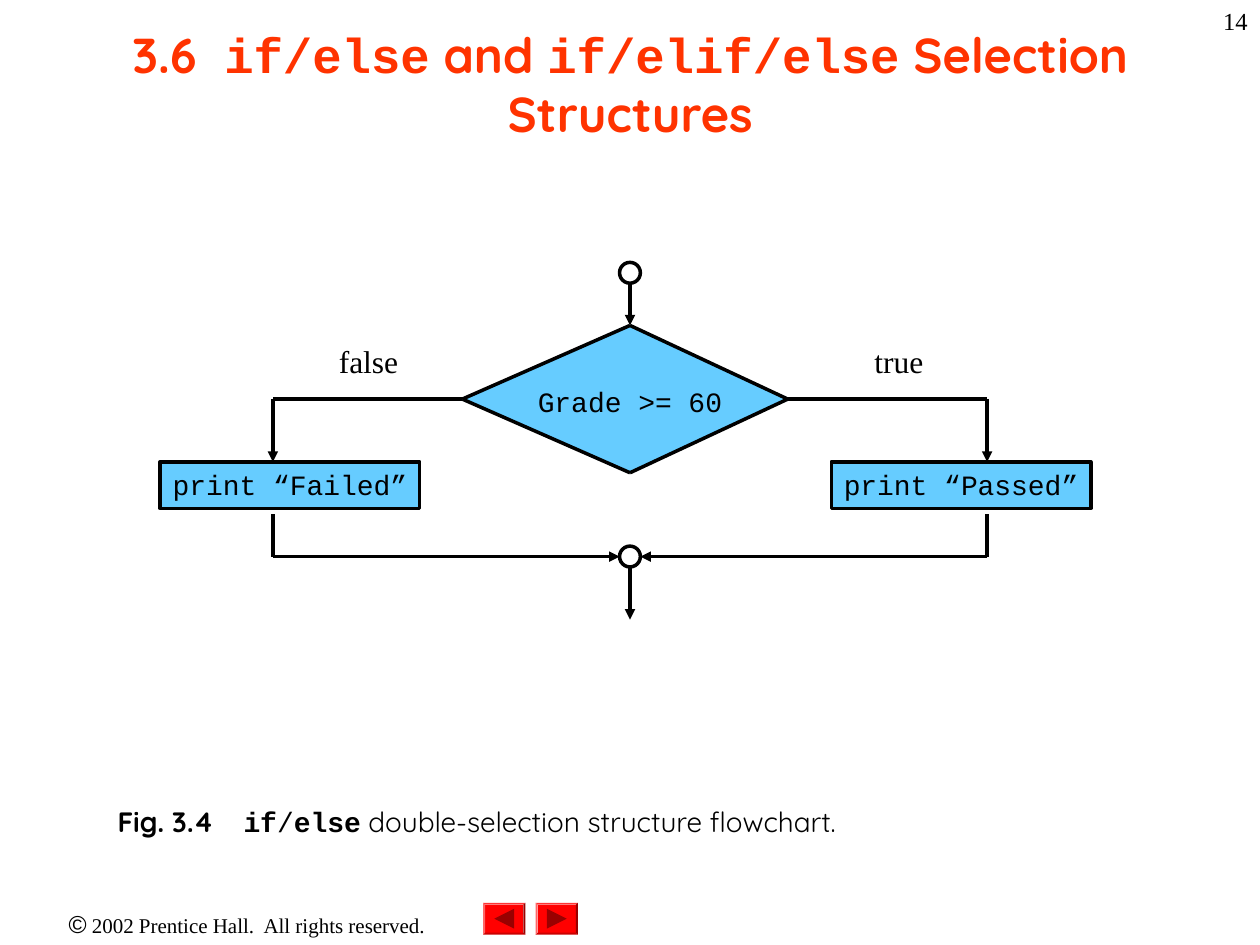
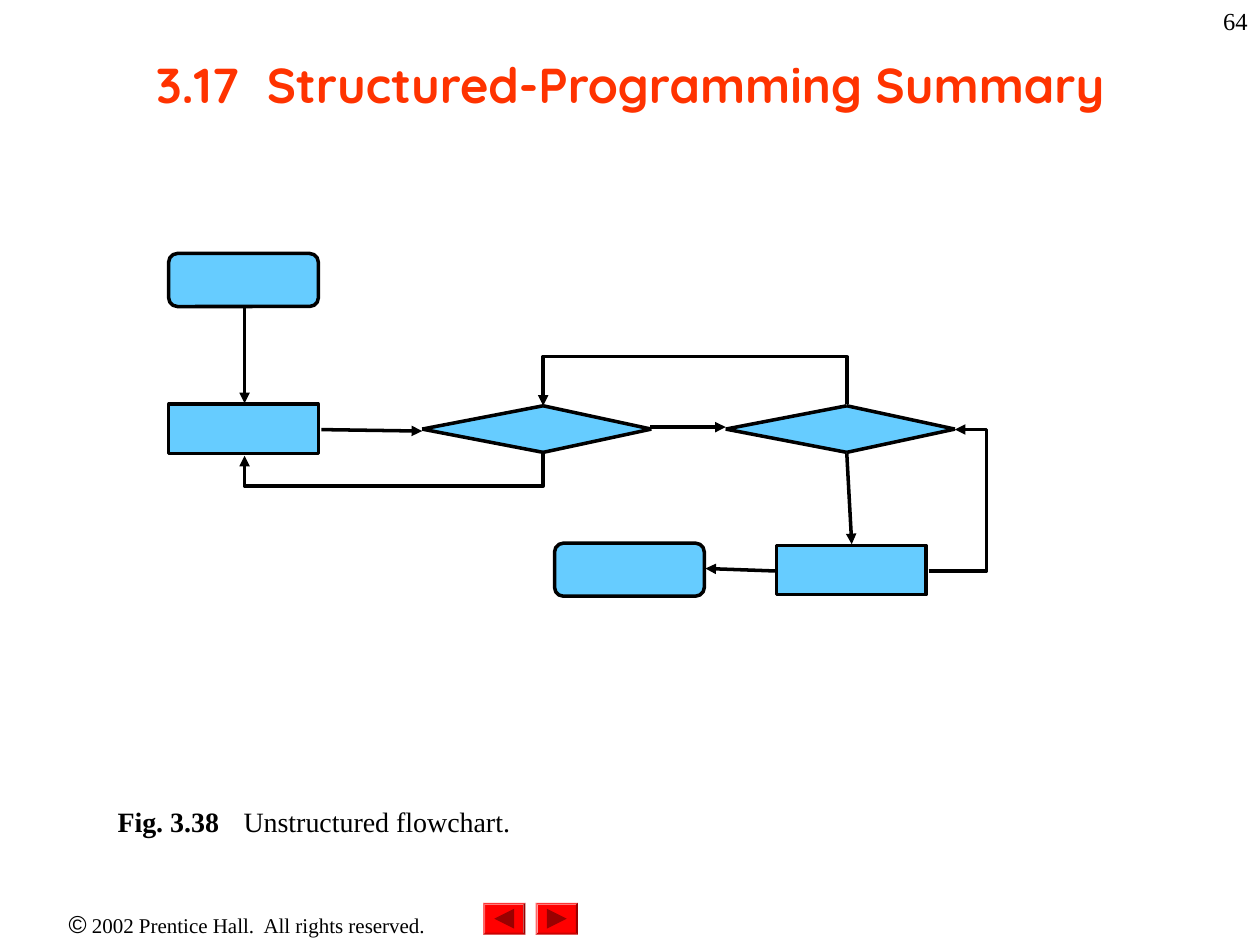
from dataclasses import dataclass

import pptx
import pptx.dml.color
import pptx.enum.shapes
import pptx.enum.text
import pptx.oxml
import pptx.oxml.ns
import pptx.util
from pptx.util import Cm

PRESET = pptx.enum.shapes.MSO_SHAPE
CONNECTOR = pptx.enum.shapes.MSO_CONNECTOR
ALIGN = pptx.enum.text.PP_ALIGN
ANCHOR = pptx.enum.text.MSO_ANCHOR


@dataclass(frozen=True)
class Theme:
    ink: str = "000000"
    paper: str = "FFFFFF"
    accent: str = "FF3300"
    node: str = "66CCFF"
    button: str = "FF0000"
    button_arrow: str = "990000"
    heading: str = "Quicksand"
    body: str = "Times New Roman"
    code: str = "Courier New"
    symbol: str = "Arial"
    title_size: int = 28
    label_size: int = 18
    text_size: int = 16
    number_size: int = 14
    footer_size: int = 12
    line_width: int = 2


def color(value):
    return pptx.dml.color.RGBColor.from_string(value)


def add_element(parent, tag, **attributes):
    element = pptx.oxml.parse_xml(f"<{tag} {pptx.oxml.ns.nsdecls('a')}/>")
    for name, value in attributes.items():
        element.set(name, str(value))
    parent.append(element)
    return element


def write(frame, text, *, font, size, ink, bold=False, align=ALIGN.CENTER,
          anchor=ANCHOR.TOP, wrap=True, tab=None):
    """Write a string, or (text, format) pairs, into a text frame."""
    frame.word_wrap = wrap
    frame.vertical_anchor = anchor
    paragraph = frame.paragraphs[0]
    paragraph.alignment = align
    if tab is not None:
        stops = add_element(paragraph._p.get_or_add_pPr(), "a:tabLst")
        add_element(stops, "a:tab", pos=int(Cm(tab)), algn="l")
    parts = [(text, {})] if isinstance(text, str) else text
    for words, change in parts:
        run = paragraph.add_run()
        run.text = words
        run.font.name = change.get("font", font)
        run.font.size = pptx.util.Pt(change.get("size", size))
        run.font.bold = change.get("bold", bold)
        run.font.color.rgb = color(ink)


class Deck:
    """Hold the theme and the current slide, and draw each kind of element."""

    def __init__(self, theme):
        self.theme = theme
        self.presentation = pptx.Presentation()
        self.presentation.slide_width = Cm(25.4)
        self.presentation.slide_height = Cm(19.05)
        self.slide = None

    def start(self, number, title, caption, caption_font):
        theme = self.theme
        layout = self.presentation.slide_layouts[6]
        self.slide = self.presentation.slides.add_slide(layout)
        self.text(0, 18.2, 9.96, 0.86,
                  [("©", {"font": theme.symbol, "size": theme.number_size}),
                   (" 2002 Prentice Hall.  All rights reserved.", {})],
                  size=theme.footer_size)
        self.button(10.8, -1)
        self.button(9.74, 1, back=True)
        self.text(1.91, 0.21, 21.59, 2.96, title, font=theme.heading,
                  size=theme.title_size, ink=theme.accent, bold=True,
                  anchor=ANCHOR.MIDDLE)
        self.text(2.12, 16.1, 15.9, 0.94, caption, font=caption_font,
                  align=ALIGN.LEFT, tab=2.54)
        self.text(20.12, 0, 5.28, 1.27, str(number),
                  size=theme.number_size, align=ALIGN.RIGHT)

    def text(self, left, top, width, height, text, **format):
        box = self.slide.shapes.add_textbox(
            Cm(left), Cm(top), Cm(width), Cm(height))
        self.fill_text(box, text, **format)

    def fill_text(self, shape, text, **format):
        theme = self.theme
        write(shape.text_frame, text, **{"font": theme.body, "size": theme.text_size,
                                         "ink": theme.ink, **format})

    def shape(self, preset, left, top, width, height, fill=None, outlined=True):
        shape = self.slide.shapes.add_shape(
            preset, Cm(left), Cm(top), Cm(width), Cm(height))
        self.paint(shape, fill or self.theme.node, outlined)
        return shape

    def paint(self, shape, fill, outlined):
        shape.shadow.inherit = False
        shape.fill.solid()
        shape.fill.fore_color.rgb = color(fill)
        if outlined:
            self.stroke(shape.line)
        else:
            shape.line.fill.background()

    def stroke(self, line):
        line.color.rgb = color(self.theme.ink)
        line.width = pptx.util.Pt(self.theme.line_width)

    def button(self, left, direction, back=False):
        top, width, height = 18.2, 0.85, 0.64
        bevel = self.shape(PRESET.BEVEL, left, top, width, height,
                           self.theme.button, outlined=False)
        bevel.adjustments[0] = 0.06
        middle_x, middle_y = left + width / 2, top + height / 2
        tip = middle_x - 0.2 * direction
        base = middle_x + 0.2 * direction
        if back:
            assert tip < base
        outline = self.slide.shapes.build_freeform(
            Cm(base), Cm(middle_y - 0.2), scale=1.0)
        outline.add_line_segments([(Cm(tip), Cm(middle_y)),
                                   (Cm(base), Cm(middle_y + 0.2))], close=True)
        self.paint(outline.convert_to_shape(), self.theme.button_arrow, False)

    def connector(self, kind, start, end, arrow):
        connector = self.slide.shapes.add_connector(
            kind, *(Cm(value) for value in (*start, *end)))
        self.stroke(connector.line)
        add_element(connector._element.spPr, "a:effectLst")
        if arrow:
            add_element(connector.line._get_or_add_ln(), "a:tailEnd", type="triangle")
        return connector

    def line(self, start, end, arrow=False):
        self.connector(CONNECTOR.STRAIGHT, start, end, arrow)

    def elbow(self, start, end, bend, turned=False):
        """Draw a bent arrow whose middle leg lies `bend` cm from its start."""
        run = end[0] - start[0]
        if turned:
            run = end[1] - start[1]
            rise = start[0] - end[0]
            x, y = (start[0] + end[0]) / 2, (start[1] + end[1]) / 2
            start = (x - run / 2, y - rise / 2)
            end = (x + run / 2, y + rise / 2)
        properties = self.connector(CONNECTOR.ELBOW, start, end, True)._element.spPr
        if turned:
            properties.xfrm.set("rot", str(90 * 60000))
        guides = properties.prstGeom.get_or_add_avLst()
        add_element(guides, "a:gd", name="adj1", fmla=f"val {round(bend / run * 100000)}")

    def decision(self, left, top, width, height, apex, reach):
        self.shape(PRESET.DIAMOND, left, top, width, height, outlined=False)
        middle = top + height / 2
        for side in (left, left + reach):
            for tip in (top, top + height):
                self.line((left + apex, tip), (side, middle))

    def junction(self, x, y):
        self.shape(PRESET.OVAL, x - 0.21, y - 0.21, 0.42, 0.42, self.theme.paper)


def add_selection_slide(deck):
    theme = deck.theme
    code, strong_code = {"font": theme.code}, {"font": theme.code, "bold": True}
    deck.start(
        14,
        [("3.6  ", {}), ("if/else", code), (" and ", {}),
         ("if/elif/else", code), (" Selection Structures", {})],
        [("Fig. 3.4\t", {"bold": True}), ("if", strong_code), ("/", code),
         ("else", strong_code), (" double-selection structure flowchart.", {})],
        theme.heading)

    center, branch_y, merge_y = 12.7, 8.04, 11.22
    deck.decision(9.32, 6.56, 6.63, 2.97, apex=3.38, reach=6.56)
    deck.text(10.59, 7.62, 4.22, 0.94, "Grade >= 60", font=theme.code, wrap=False)
    branches = (
        ("false", 6.58, 1.7, "print “Failed”", 3.23, 5.5, 9.32, 12.49),
        ("true", 17.37, 1.5, "print “Passed”", 16.76, 19.9, 15.88, 12.91),
    )
    for label, label_left, label_width, action, left, x, corner, merge_x in branches:
        deck.text(label_left, 6.77, label_width, 1.02, label,
                  size=theme.label_size, wrap=False)
        box = deck.shape(PRESET.RECTANGLE, left, 9.31, 5.23, 0.94)
        deck.fill_text(box, action, font=theme.code, wrap=False)
        deck.line((corner, branch_y), (x, branch_y))
        deck.line((x, branch_y), (x, 9.31), arrow=True)
        deck.line((x, 10.37), (x, merge_y))
        deck.line((x, merge_y), (merge_x, merge_y), arrow=True)
    for y, end in ((5.5, 6.56), (merge_y, 12.49)):
        deck.junction(center, y)
        deck.line((center, y + 0.21), (center, end), arrow=True)


def add_unstructured_slide(deck):
    deck.start(64, "3.17  Structured-Programming Summary",
               [("Fig. 3.38\t", {"bold": True}), ("Unstructured flowchart.", {})],
               deck.theme.body)

    for left, top in ((3.4, 5.11), (11.18, 10.95)):
        deck.shape(PRESET.ROUNDED_RECTANGLE, left, top, 3.02, 1.07)
    for left, top in ((3.4, 8.15), (15.65, 11)):
        deck.shape(PRESET.RECTANGLE, left, top, 3.02, 0.99)
    for left in (8.51, 14.63):
        deck.decision(left, 8.18, 4.62, 0.94, apex=2.44, reach=4.62)

    for start, end in (
        ((4.93, 6.2), (4.93, 8.13)),
        ((6.48, 8.66), (8.51, 8.69)),
        ((13.11, 8.61), (14.63, 8.61)),
        ((17.07, 9.14), (17.17, 10.97)),
        ((15.62, 11.51), (14.22, 11.46)),
    ):
        deck.line(start, end, arrow=True)
    deck.elbow((10.95, 9.14), (4.93, 9.19), 0.66, turned=True)
    deck.elbow((17.07, 8.15), (10.95, 8.18), -0.96, turned=True)
    deck.elbow((18.72, 11.51), (19.25, 8.66), 1.17)


def main():
    deck = Deck(Theme())
    add_selection_slide(deck)
    add_unstructured_slide(deck)
    deck.presentation.save("out.pptx")


if __name__ == "__main__":
    main()
